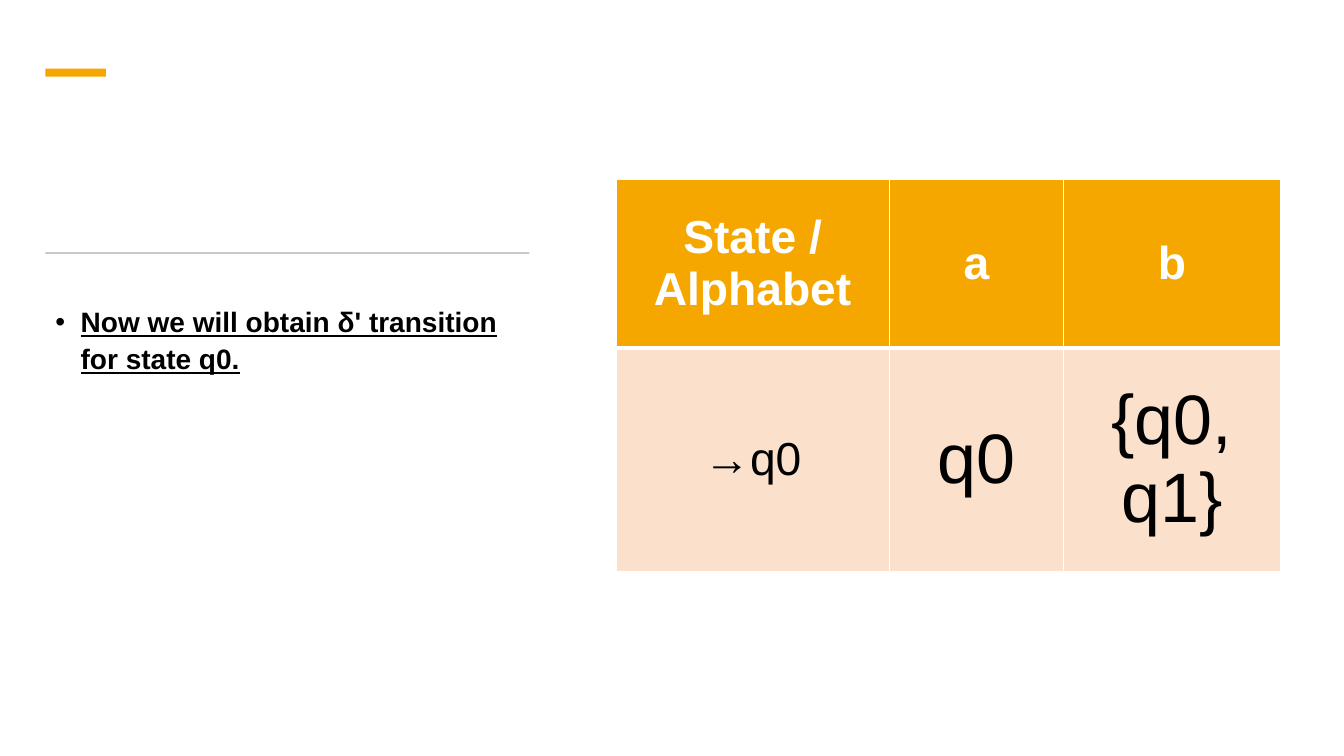
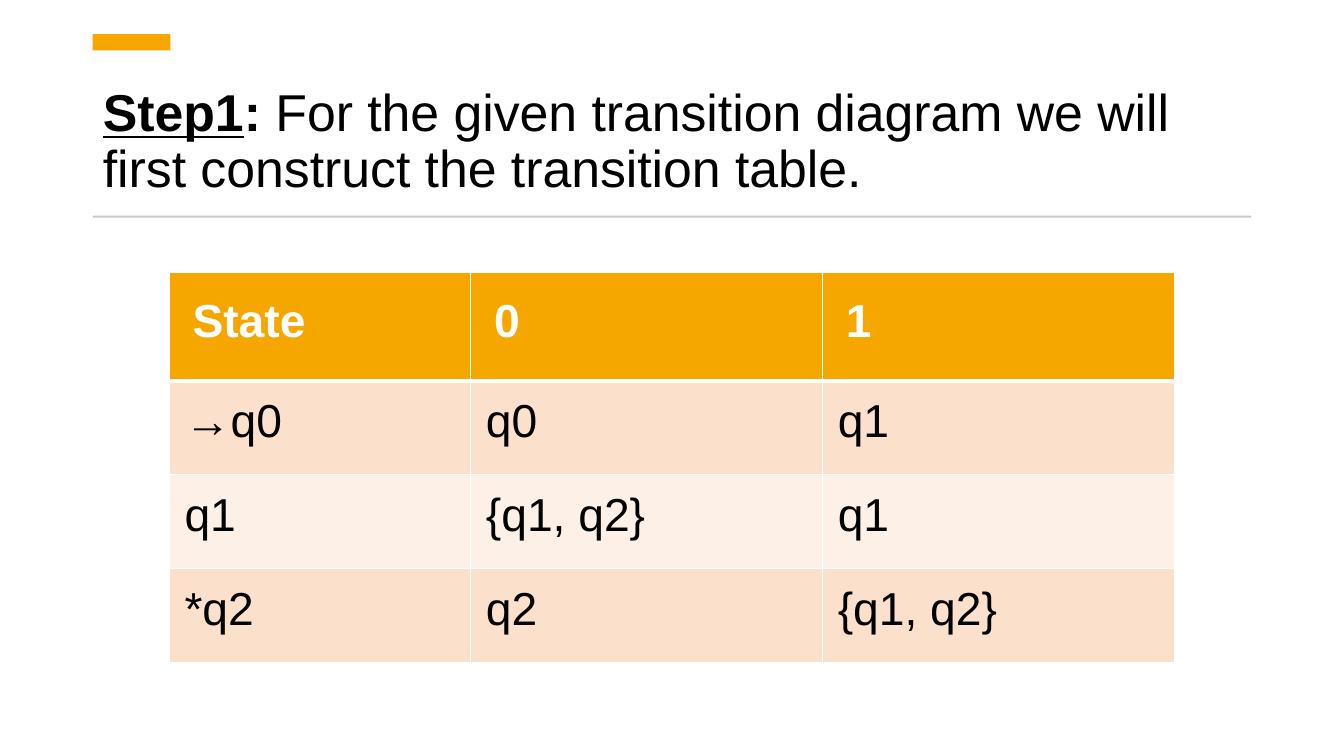
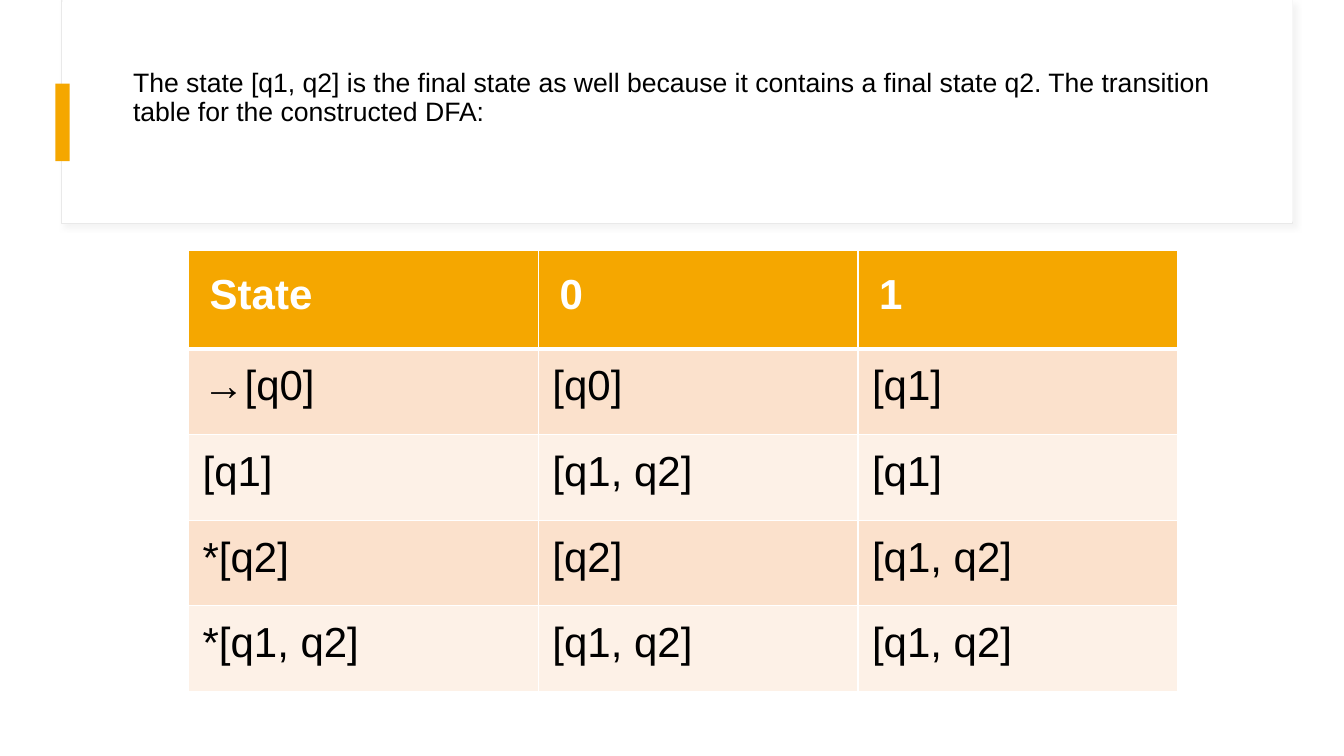
from lxml.etree import SubElement
from pptx import Presentation
from pptx.dml.color import RGBColor
from pptx.enum.shapes import MSO_SHAPE as Shape
from pptx.enum.text import MSO_ANCHOR as Anchor, MSO_AUTO_SIZE as AutoSize, PP_ALIGN as Align
from pptx.oxml import parse_xml
from pptx.oxml.ns import nsdecls, qn
from pptx.util import Inches, Pt

FONT = "Arial"
COLORS = {
    "accent": "F5A700",
    "rule": "C9C9C9",
    "card_line": "E9E9E9",
    "shadow": "D9D9D9",
    "band_dark": "FBE1CC",
    "band_light": "FDF1E7",
    "white": "FFFFFF",
    "black": "000000",
}
CONTENT_LAYOUT, TITLE_LAYOUT = 1, 5


def rgb(name):
    return RGBColor.from_string(COLORS[name])


def apply_format(target, values):
    for name, value in values.items():
        setattr(target, name, value)


def add_run(paragraph, text, size, color="black", **font_values):
    run = paragraph.add_run()
    run.text = text
    apply_format(run.font, {"name": FONT, "size": Pt(size), "bold": False, **font_values})
    run.font.color.rgb = rgb(color)


def place(target, left, top, width, height):
    box = {"left": left, "top": top, "width": width, "height": height}
    apply_format(target, {name: Inches(value) for name, value in box.items()})


def add_block(slide, box, color):
    block = slide.shapes.add_shape(Shape.RECTANGLE, *map(Inches, box))
    block.shadow.inherit = False
    block.fill.solid()
    block.fill.fore_color.rgb = rgb(color)
    block.line.fill.background()
    return block


def add_card(slide):
    card = add_block(slide, (0.61, 0.01, 12.21, 2.21), "white")
    card.line.color.rgb = rgb("card_line")
    card.line.width = Pt(0.75)
    effects = card._element.spPr.find(qn("a:effectLst"))
    shadow = SubElement(effects, qn("a:outerShdw"), blurRad=str(Pt(4)), dist=str(Pt(3)),
                        dir="2700000", algn="tl", rotWithShape="0")
    color = SubElement(shadow, qn("a:srgbClr"), val=COLORS["shadow"])
    SubElement(color, qn("a:alpha"), val="30000")
    add_block(slide, (0.62, 0, 12.2, 2.2), "white")


def add_title(slide, box, runs, size, **frame_values):
    title = slide.shapes.title
    place(title, *box)
    frame = title.text_frame
    apply_format(frame, {"word_wrap": True, "auto_size": AutoSize.NONE, **frame_values})
    paragraph = frame.paragraphs[0]
    apply_format(paragraph, {"alignment": Align.LEFT, "line_spacing": 0.9})
    for text, font_values in runs:
        add_run(paragraph, text, size, **font_values)


def add_bullet(slide, box, text):
    body = slide.placeholders[1]
    place(body, *box)
    body.text_frame.auto_size = AutoSize.NONE
    paragraph = body.text_frame.paragraphs[0]
    apply_format(paragraph, {"line_spacing": 1.1, "space_before": Pt(10)})
    properties = paragraph._p.get_or_add_pPr()
    properties.set("marL", str(Inches(0.25)))
    properties.set("indent", str(Inches(-0.25)))
    add_run(paragraph, text, 20, bold=True, underline=True)


def set_borders(cell, bottom):
    widths = {"lnL": 1, "lnR": 1, "lnT": 1, "lnB": bottom}
    properties = cell._tc.get_or_add_tcPr()
    for index, (side, width) in enumerate(widths.items()):
        border = parse_xml(
            f'<a:{side} {nsdecls("a")} w="{Pt(width)}"><a:solidFill>'
            f'<a:srgbClr val="{COLORS["white"]}"/></a:solidFill></a:{side}>')
        properties.insert(index, border)


def fill_cell(cell, text, size, is_header, band, align, anchor, insets):
    cell.fill.solid()
    cell.fill.fore_color.rgb = rgb("accent" if is_header else band)
    set_borders(cell, 3 if is_header else 1)
    horizontal, vertical = map(Inches, insets)
    apply_format(cell, {
        "margin_left": horizontal, "margin_right": horizontal,
        "margin_top": vertical, "margin_bottom": vertical,
        "vertical_anchor": anchor,
    })
    paragraph = cell.text_frame.paragraphs[0]
    paragraph.alignment = align
    add_run(paragraph, text, size, "white" if is_header else "black", bold=is_header)


def add_state_table(slide, origin, widths, heights, rows, size, header_insets, body_insets,
                    header_align=Align.LEFT, body_align=Align.JUSTIFY,
                    anchor=Anchor.TOP, special_sizes=None):
    box = (*origin, sum(widths), sum(heights))
    table = slide.shapes.add_table(len(rows), len(widths), *map(Inches, box)).table
    for column, width in zip(table.columns, widths):
        column.width = Inches(width)
    for r, (row, height) in enumerate(zip(rows, heights)):
        table.rows[r].height = Inches(height)
        is_header = r == 0
        band = "band_dark" if r % 2 else "band_light"
        align, insets = (header_align, header_insets) if is_header else (body_align, body_insets)
        for c, text in enumerate(row):
            cell_size = (special_sizes or {}).get((r, c), size)
            fill_cell(table.cell(r, c), text, cell_size, is_header, band, align, anchor, insets)


def build_transition_slide(deck):
    slide = deck.slides.add_slide(deck.slide_layouts[CONTENT_LAYOUT])
    unused_title = slide.shapes.title._element
    unused_title.getparent().remove(unused_title)
    add_block(slide, (0.45, 0.68, 0.6, 0.08), "accent")
    add_block(slide, (0.45, 2.5, 4.8, 0.02), "rule")
    add_bullet(slide, (0.45, 2.94, 4.86, 3.82), "Now we will obtain δ' transition for state q0.")
    add_state_table(
        slide, (6.11, 1.78), (2.71, 1.73, 2.15), (1.67, 2.22),
        [("State / Alphabet", "a", "b"), ("→q0", "q0", "{q0, q1}")],
        33, (0.29, 0.23), (0.29, 0.23), Align.CENTER, Align.CENTER, Anchor.MIDDLE,
        {(1, 1): 50, (1, 2): 50})


def build_step_slide(deck):
    slide = deck.slides.add_slide(deck.slide_layouts[TITLE_LAYOUT])
    add_title(slide, (0.92, 0.75, 11.49, 1.27), [
        ("Step1", {"bold": True, "underline": True}),
        (": ", {"bold": True}),
        ("For the given transition diagram we will first construct the transition table.", {}),
    ], 37, vertical_anchor=Anchor.BOTTOM)
    add_block(slide, (0.92, 0.34, 0.77, 0.16), "accent")
    add_block(slide, (0.92, 2.14, 11.49, 0.02), "rule")
    add_state_table(
        slide, (1.68, 2.7), (2.99, 3.49, 3.49), (1.08, *[0.93] * 3),
        [("State", "0", "1"),
         ("→q0", "q0", "q1"),
         ("q1", "{q1, q2}", "q1"),
         ("*q2", "q2", "{q1, q2}")],
        33, (0.23, 0.23), (0.15, 0.15))


def build_dfa_slide(deck):
    slide = deck.slides.add_slide(deck.slide_layouts[TITLE_LAYOUT])
    add_card(slide)
    title = slide.shapes.title._element
    title.getparent().append(title)
    add_title(slide, (1.22, 0.6, 11.12, 1.29), [
        ("The state [q1, q2] is the final state as well because it contains a final state q2. "
         "The transition table for the constructed DFA:", {}),
    ], 19, vertical_anchor=Anchor.TOP, margin_top=Inches(0.09))
    add_block(slide, (0.55, 0.83, 0.14, 0.77), "accent")
    add_state_table(
        slide, (1.87, 2.48), (3.47, 3.17, 3.17), (0.98, *[0.85] * 4),
        [("State", "0", "1"),
         ("→[q0]", "[q0]", "[q1]"),
         ("[q1]", "[q1, q2]", "[q1]"),
         ("*[q2]", "[q2]", "[q1, q2]"),
         ("*[q1, q2]", "[q1, q2]", "[q1, q2]")],
        30, (0.21, 0.21), (0.14, 0.14))


def main():
    deck = Presentation()
    apply_format(deck, {"slide_width": Inches(13.33), "slide_height": Inches(7.5)})
    build_transition_slide(deck)
    build_step_slide(deck)
    build_dfa_slide(deck)
    deck.save("out.pptx")


if __name__ == "__main__":
    main()
